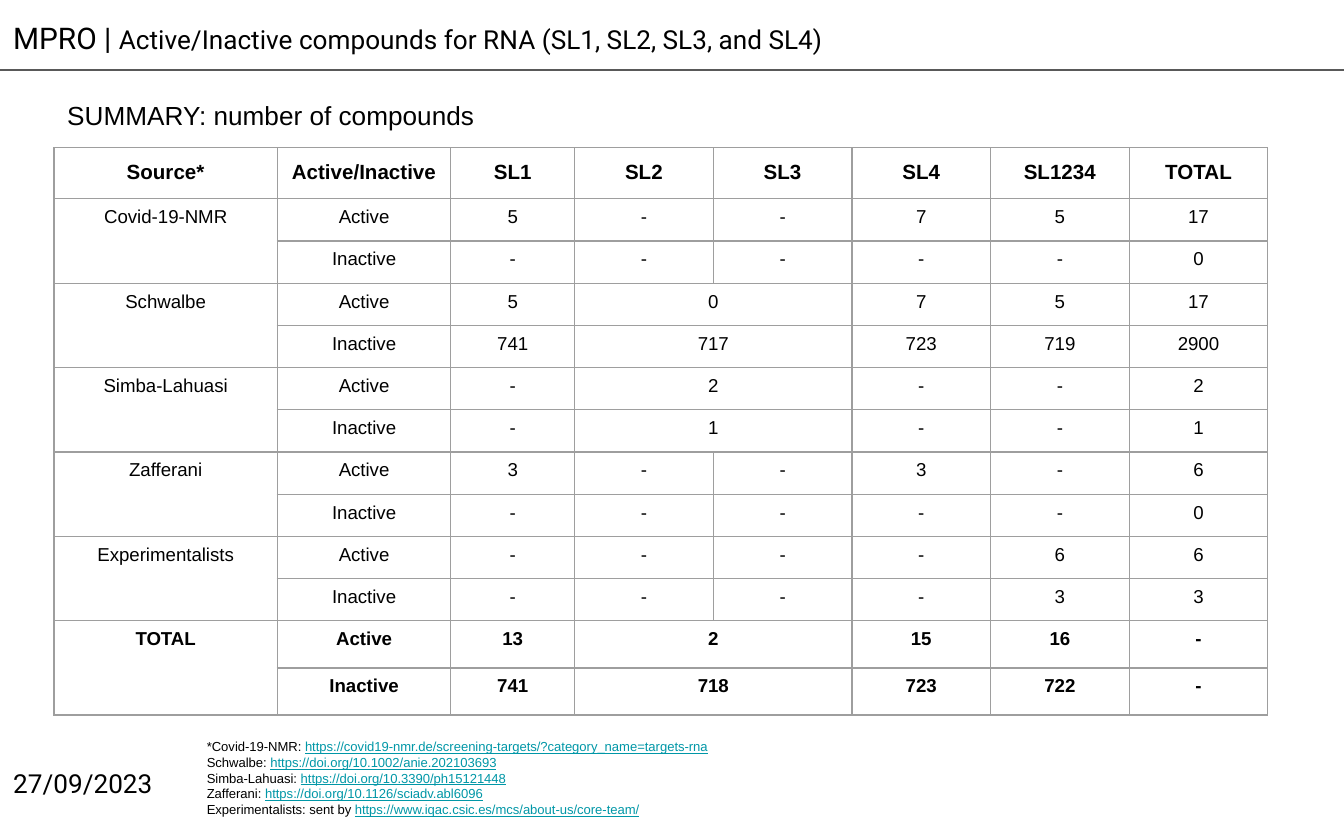
from itertools import product

from lxml import etree
from pptx import Presentation
from pptx.dml.color import RGBColor
from pptx.enum.shapes import MSO_CONNECTOR
from pptx.enum.text import PP_ALIGN
from pptx.oxml.ns import qn
from pptx.util import Cm, Pt

STRAIGHT = MSO_CONNECTOR.STRAIGHT
CENTER = PP_ALIGN.CENTER
BLACK = RGBColor(0x00, 0x00, 0x00)
LINK = RGBColor(0x00, 0x97, 0xA7)
RULE = RGBColor(0x59, 0x59, 0x59)
GRID = RGBColor(0x9E, 0x9E, 0x9E)
INSET = Cm(0.25)

DATE = "27/09/2023"
TITLE = [("MPRO | ", 16), ("Active/Inactive compounds for RNA (SL1, SL2, SL3, and SL4)", 14)]
SUMMARY = "SUMMARY: number of compounds"
REFERENCES = [
    ("*Covid-19-NMR: ", "https://covid19-nmr.de/screening-targets/?category_name=targets-rna"),
    ("Schwalbe: ", "https://doi.org/10.1002/anie.202103693"),
    ("Simba-Lahuasi: ", "https://doi.org/10.3390/ph15121448"),
    ("Zafferani: ", "https://doi.org/10.1126/sciadv.abl6096"),
    ("Experimentalists: sent by ", "https://www.iqac.csic.es/mcs/about-us/core-team/"),
]
HEADER = ["Source*", "Active/Inactive", "SL1", "SL2", "SL3", "SL4", "SL1234", "TOTAL"]
COUNTS = [
    ("Covid-19-NMR", ["5", "-", "-", "7", "5", "17"], ["-", "-", "-", "-", "-", "0"]),
    ("Schwalbe", ["5", "0", None, "7", "5", "17"], ["741", "717", None, "723", "719", "2900"]),
    ("Simba-Lahuasi", ["-", "2", None, "-", "-", "2"], ["-", "1", None, "-", "-", "1"]),
    ("Zafferani", ["3", "-", "-", "3", "-", "6"], ["-", "-", "-", "-", "-", "0"]),
    ("Experimentalists", ["-", "-", "-", "-", "6", "6"], ["-", "-", "-", "-", "3", "3"]),
    ("TOTAL", ["13", "2", None, "15", "16", "-"], ["741", "718", None, "723", "722", "-"]),
]
COLUMN_WIDTHS = [4.22, 3.28, 2.34] + [2.62] * 5
ROW_HEIGHTS = [0.94] + [0.76] * 10 + [0.89] * 2


def add_run(paragraph, text, size, name="Arial", color=BLACK, bold=False, underline=False):
    run = paragraph.add_run()
    run.text = text
    font = run.font
    font.size, font.name, font.bold, font.underline = Pt(size), name, bold, underline
    font.color.rgb = color


def set_insets(target):
    target.margin_left = target.margin_right = INSET
    target.margin_top = target.margin_bottom = INSET


def add_box(slide, left, top, width, height):
    frame = slide.shapes.add_textbox(Cm(left), Cm(top), Cm(width), Cm(height)).text_frame
    frame.word_wrap = True
    set_insets(frame)
    return frame


def set_borders(cell):
    properties = cell._tc.get_or_add_tcPr()
    for side in ("a:lnL", "a:lnR", "a:lnT", "a:lnB"):
        line = etree.SubElement(properties, qn(side), w=str(Pt(0.75)))
        fill = etree.SubElement(line, qn("a:solidFill"))
        etree.SubElement(fill, qn("a:srgbClr"), val=str(GRID))


def add_counts_table(slide):
    rows = [HEADER]
    for source, active, inactive in COUNTS:
        rows += [[source, "Active", *active], [None, "Inactive", *inactive]]
    frame = slide.shapes.add_table(
        len(rows), len(HEADER), Cm(1.02), Cm(2.79), Cm(sum(COLUMN_WIDTHS)), Cm(sum(ROW_HEIGHTS))
    )
    table = frame.table
    table.first_row = table.horz_banding = False
    for column, width in zip(table.columns, COLUMN_WIDTHS):
        column.width = Cm(width)
    for row, height in zip(table.rows, ROW_HEIGHTS):
        row.height = Cm(height)

    first_total = len(rows) - 2
    for r, c in product(range(len(rows)), range(len(HEADER))):
        cell, text = table.cell(r, c), rows[r][c]
        set_insets(cell)
        set_borders(cell)
        cell.fill.background()
        if text is None:
            origin = table.cell(r - 1, c) if c == 0 else table.cell(r, c - 1)
            origin.merge(cell)
            continue
        paragraph = cell.text_frame.paragraphs[0]
        paragraph.alignment = CENTER
        if r > 0:
            paragraph.line_spacing = 0.7
        add_run(paragraph, text, 10 if r else 11, bold=r == 0 or r >= first_total)


def main():
    presentation = Presentation()
    presentation.slide_width, presentation.slide_height = Cm(25.4), Cm(15.88)
    slide = presentation.slides.add_slide(presentation.slide_layouts[6])

    date = add_box(slide, 0, 14.25, 3.66, 1.12)
    add_run(date.paragraphs[0], DATE, 14, "Roboto")

    rule = slide.shapes.add_connector(STRAIGHT, 0, Cm(1.32), Cm(25.4), Cm(1.32))
    rule.line.color.rgb = RULE
    rule.line.width = Pt(0.75)
    etree.SubElement(rule._element.spPr, qn("a:effectLst"))

    title = add_box(slide, 0, 0.13, 24.69, 1.19)
    for text, size in TITLE:
        add_run(title.paragraphs[0], text, size, "Roboto")

    references = add_box(slide, 3.66, 13.72, 19.99, 1.96)
    for index, (label, address) in enumerate(REFERENCES):
        paragraph = references.add_paragraph() if index else references.paragraphs[0]
        add_run(paragraph, label, 7)
        add_run(paragraph, address, 7, color=LINK, underline=True)

    summary = add_box(slide, 1.02, 1.63, 10.24, 0.99)
    add_run(summary.paragraphs[0], SUMMARY, 14)

    add_counts_table(slide)
    presentation.save("out.pptx")


if __name__ == "__main__":
    main()
